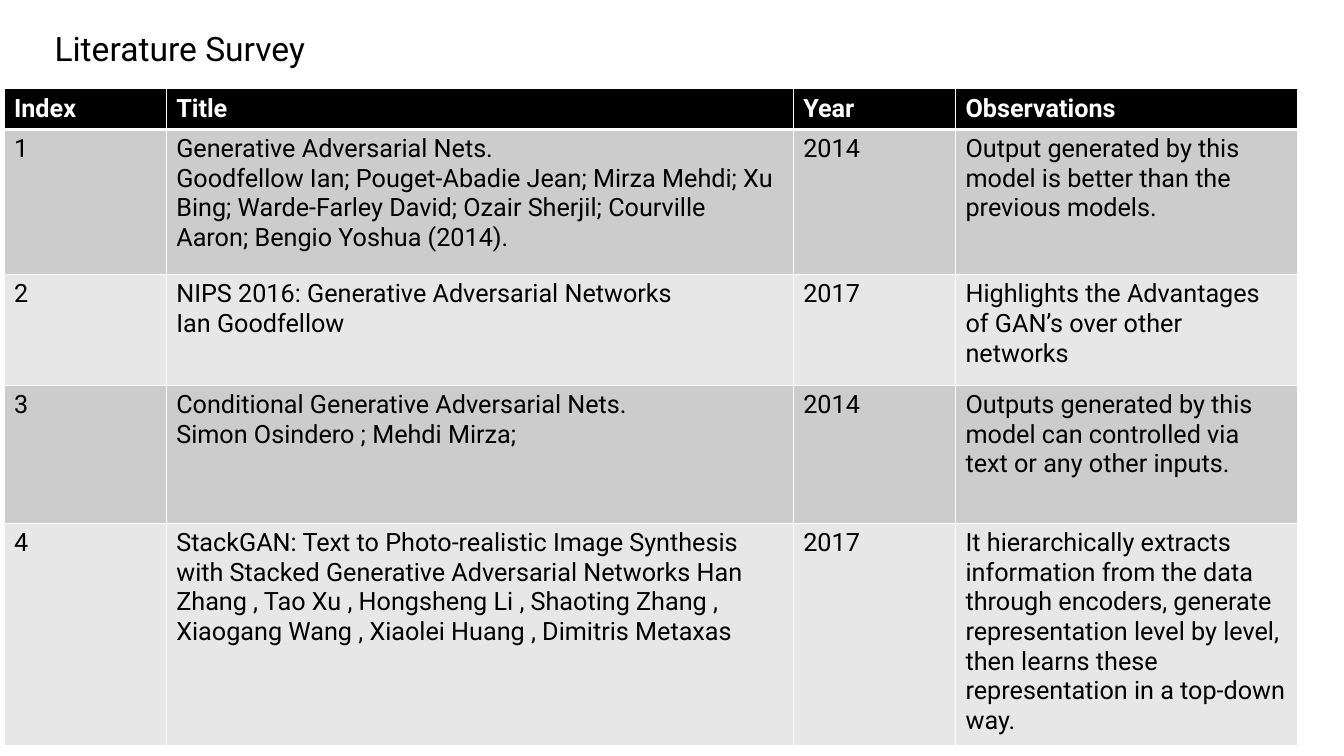
"""Build the literature survey slide with its table of papers."""
import pptx
import pptx.dml.color
import pptx.enum.text
import pptx.oxml
import pptx.oxml.ns
import pptx.util
from pptx.util import Cm

FONT = "Roboto"
COLOURS = {
    "black": "000000",
    "white": "FFFFFF",
    "odd row": "CCCCCC",
    "even row": "E7E7E7",
}
COLUMN_WIDTHS = [4.09, 15.8, 4.09, 8.61]
ROW_HEIGHTS = [1.02, 3.66, 2.79, 3.48, 5.26]
SURVEY = [
    ["Index", "Title", "Year", "Observations"],
    [
        "1",
        "Generative Adversarial Nets.\n"
        "Goodfellow Ian; Pouget-Abadie Jean; Mirza Mehdi; Xu Bing; Warde-Farley David; "
        "Ozair Sherjil; Courville Aaron; Bengio Yoshua (2014).",
        "2014",
        "Output generated by this model is better than the previous models.",
    ],
    [
        "2",
        "NIPS 2016: Generative Adversarial Networks\nIan Goodfellow",
        "2017",
        "Highlights the Advantages of GAN’s over other networks",
    ],
    [
        "3",
        "Conditional Generative Adversarial Nets.\nSimon Osindero ; Mehdi Mirza;",
        "2014",
        "Outputs generated by this model can controlled via text or any other inputs.",
    ],
    [
        "4",
        "StackGAN: Text to Photo-realistic Image Synthesis with Stacked Generative "
        "Adversarial Networks Han Zhang , Tao Xu , Hongsheng Li , Shaoting Zhang , "
        "Xiaogang Wang , Xiaolei Huang , Dimitris Metaxas",
        "2017",
        "It hierarchically extracts information from the data through encoders, generate "
        "representation level by level, then learns these representation in a top-down way.",
    ],
]


def colour(name):
    return pptx.dml.color.RGBColor.from_string(COLOURS[name])


def write_text(frame, text, size, colour_name, bold=False):
    frame.text = text
    for paragraph in frame.paragraphs:
        paragraph.alignment = pptx.enum.text.PP_ALIGN.LEFT
        for span in paragraph.runs:
            span.font.name = FONT
            span.font.size = pptx.util.Pt(size)
            span.font.bold = bold
            span.font.color.rgb = colour(colour_name)


def add_title(page, text):
    title = page.shapes.title
    title.left, title.top, title.width, title.height = Cm(1.12), Cm(0.58), Cm(12.93), Cm(1.27)
    write_text(title.text_frame, text, 24, "black")
    title.text_frame.word_wrap = True
    title.text_frame.auto_size = pptx.enum.text.MSO_AUTO_SIZE.SHAPE_TO_FIT_TEXT
    title.text_frame.vertical_anchor = pptx.enum.text.MSO_ANCHOR.TOP


def set_borders(cell, widths):
    properties = cell._tc.get_or_add_tcPr()
    for position, (side, width) in enumerate(widths.items()):
        border = pptx.oxml.parse_xml(
            f'<a:ln{side} {pptx.oxml.ns.nsdecls("a")} w="{pptx.util.Pt(width)}">'
            f'<a:solidFill><a:srgbClr val="{COLOURS["white"]}"/></a:solidFill></a:ln{side}>'
        )
        properties.insert(position, border)


def fill_cell(cell, text, row_index):
    header = row_index == 0
    stripe = "black" if header else "odd row" if row_index % 2 else "even row"
    write_text(cell.text_frame, text, 18, "white" if header else "black", header)
    cell.fill.solid()
    cell.fill.fore_color.rgb = colour(stripe)
    top = 3 if row_index == 1 else 1
    set_borders(cell, {"L": 1, "R": 1, "T": top, "B": 3 if header else 1})


def add_survey_table(page, rows):
    frame = page.shapes.add_table(
        len(rows), len(COLUMN_WIDTHS), Cm(0.1), Cm(2.24),
        Cm(sum(COLUMN_WIDTHS)), Cm(sum(ROW_HEIGHTS)),
    )
    table = frame.table
    for column, width in zip(table.columns, COLUMN_WIDTHS):
        column.width = Cm(width)
    for row, height in zip(table.rows, ROW_HEIGHTS):
        row.height = Cm(height)
    for row_index, texts in enumerate(rows):
        for column_index, text in enumerate(texts):
            fill_cell(table.cell(row_index, column_index), text, row_index)


def main():
    deck = pptx.Presentation()
    deck.slide_width, deck.slide_height = Cm(33.87), Cm(19.05)
    page = deck.slides.add_slide(deck.slide_layouts[5])
    add_survey_table(page, SURVEY)
    add_title(page, "Literature Survey")
    deck.save("out.pptx")


if __name__ == "__main__":
    main()
